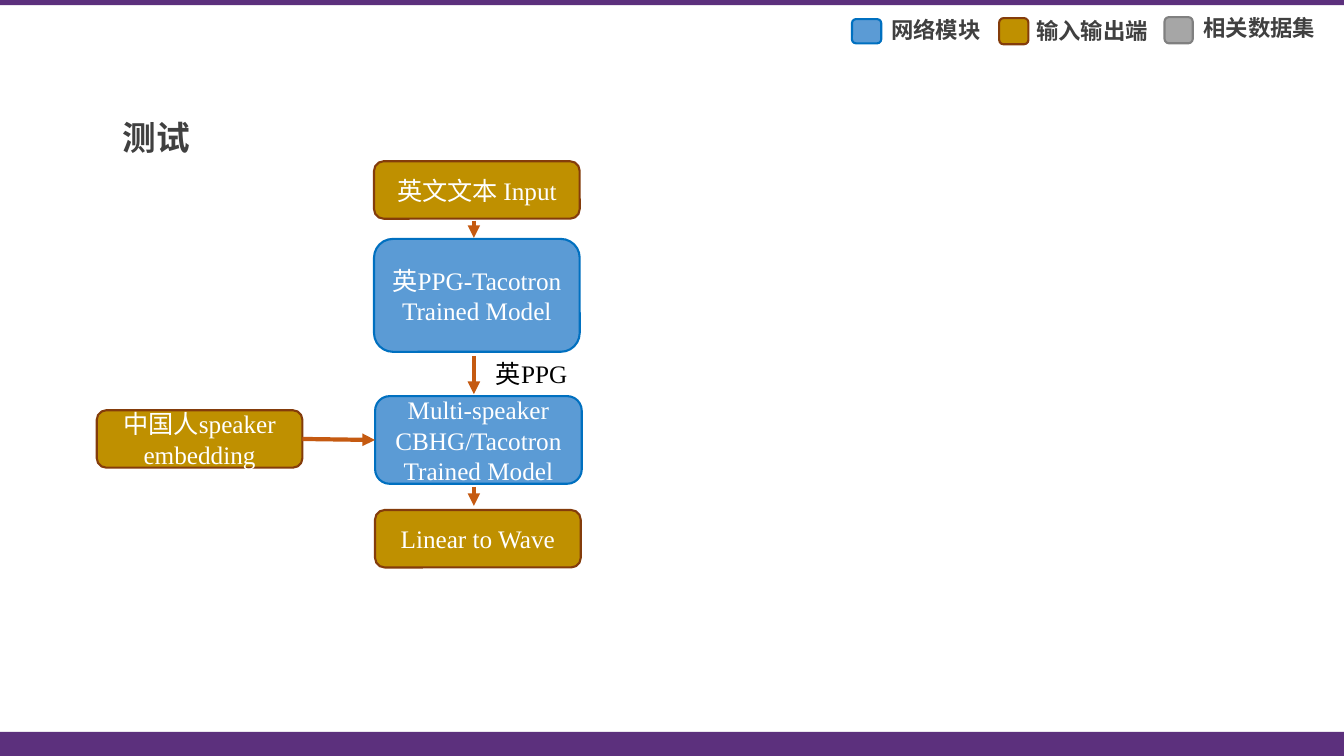
from dataclasses import dataclass

import pptx
import pptx.dml.color
import pptx.enum.shapes
import pptx.enum.text
import pptx.oxml
import pptx.oxml.ns
import pptx.util
from pptx.util import Inches

COLORS = {
    "band": "5C307D",
    "module": "5B9BD5",
    "module_edge": "0070C0",
    "port": "BF9000",
    "port_edge": "843C0B",
    "dataset": "A6A6A6",
    "dataset_edge": "808080",
    "arrow": "C55A11",
    "heading": "404040",
    "white": "FFFFFF",
    "black": "000000",
}
SERIF = "Times New Roman"
SANS = "Calibri"
SLIDE_WIDTH = 13.33
SLIDE_HEIGHT = 7.5
ARROW_X = 4.7


@dataclass(frozen=True)
class Area:
    left: float
    top: float
    width: float
    height: float

    def lengths(self) -> tuple:
        return tuple(Inches(v) for v in (self.left, self.top, self.width, self.height))


@dataclass(frozen=True)
class Block:
    area: Area
    kind: str
    text: str = ""


@dataclass(frozen=True)
class Label:
    area: Area
    text: str
    size: int
    font: str = SANS
    color: str = "heading"
    bold: bool = True
    spacing: float = 1.0


BANDS = [
    Area(0, 0, SLIDE_WIDTH, 0.05),
    Area(0, 7.26, SLIDE_WIDTH, 0.24),
]
SPEAKER = Block(Area(0.96, 4.07, 2.04, 0.57), "port", "中国人speaker embedding")
SYNTHESIS = Block(
    Area(3.72, 3.93, 2.05, 0.87), "module", "Multi-speaker CBHG/Tacotron Trained Model"
)
BLOCKS = [
    Block(Area(3.71, 1.6, 2.04, 0.57), "port", "英文文本 Input"),
    Block(Area(3.71, 2.37, 2.04, 1.12), "module", "英PPG-Tacotron Trained Model"),
    Block(Area(3.72, 5.06, 2.04, 0.57), "port", "Linear to Wave"),
    Block(Area(8.45, 0.19, 0.29, 0.24), "module"),
    Block(Area(9.91, 0.18, 0.29, 0.26), "port"),
    Block(Area(11.55, 0.17, 0.28, 0.26), "dataset"),
]
LABELS = [
    Label(Area(1.12, 1.11, 0.98, 0.5), "测试", 24),
    Label(Area(4.82, 3.51, 1.15, 0.4), "英PPG", 18, SERIF, "black", False),
    Label(Area(8.74, 0.08, 1.23, 0.45), "网络模块", 16, spacing=1.1),
    Label(Area(10.18, 0.09, 1.36, 0.43), "输入输出端", 16, spacing=1.1),
    Label(Area(11.84, 0.06, 1.36, 0.45), "相关数据集", 16, spacing=1.1),
]
DOWN_ARROWS = [(2.19, 2.36), (3.53, 3.91), (4.83, 5.02)]


def rgb(name: str) -> pptx.dml.color.RGBColor:
    return pptx.dml.color.RGBColor.from_string(COLORS[name])


def add_span(para, text: str, size: int, font: str, color: str, bold: bool = False) -> None:
    span = para.add_run()
    span.text = text
    span.font.size = pptx.util.Pt(size)
    span.font.name = font
    span.font.bold = bold
    span.font.color.rgb = rgb(color)


def draw_band(page, area: Area) -> None:
    band = page.shapes.add_shape(
        pptx.enum.shapes.MSO_SHAPE.RECTANGLE, *area.lengths()
    )
    band.shadow.inherit = False
    band.fill.solid()
    band.fill.fore_color.rgb = rgb("band")
    band.line.fill.background()


def draw_block(page, block: Block):
    box = page.shapes.add_shape(
        pptx.enum.shapes.MSO_SHAPE.ROUNDED_RECTANGLE, *block.area.lengths()
    )
    box.shadow.inherit = False
    box.fill.solid()
    box.fill.fore_color.rgb = rgb(block.kind)
    box.line.color.rgb = rgb(f"{block.kind}_edge")
    box.line.width = pptx.util.Pt(1.5)
    if block.text:
        frame = box.text_frame
        frame.word_wrap = True
        frame.vertical_anchor = pptx.enum.text.MSO_ANCHOR.MIDDLE
        para = frame.paragraphs[0]
        para.alignment = pptx.enum.text.PP_ALIGN.CENTER
        add_span(para, block.text, 18, SERIF, "white")
    return box


def draw_label(page, label: Label) -> None:
    box = page.shapes.add_textbox(*label.area.lengths())
    frame = box.text_frame
    frame.word_wrap = True
    frame.auto_size = pptx.enum.text.MSO_AUTO_SIZE.SHAPE_TO_FIT_TEXT
    para = frame.paragraphs[0]
    para.line_spacing = label.spacing
    add_span(para, label.text, label.size, label.font, label.color, label.bold)


def draw_arrow(page, start: tuple[float, float], end: tuple[float, float]):
    arrow = page.shapes.add_connector(
        pptx.enum.shapes.MSO_CONNECTOR.STRAIGHT,
        *(Inches(v) for v in (*start, *end)),
    )
    arrow.line.color.rgb = rgb("arrow")
    arrow.line.width = pptx.util.Pt(3)
    properties = arrow.element.spPr
    head = pptx.oxml.parse_xml(
        f'<a:tailEnd {pptx.oxml.ns.nsdecls("a")} type="triangle"/>'
    )
    properties.find(pptx.oxml.ns.qn("a:ln")).append(head)
    properties.append(
        pptx.oxml.parse_xml(f'<a:effectLst {pptx.oxml.ns.nsdecls("a")}/>')
    )
    return arrow


def main() -> None:
    deck = pptx.Presentation()
    deck.slide_width = Inches(SLIDE_WIDTH)
    deck.slide_height = Inches(SLIDE_HEIGHT)
    page = deck.slides.add_slide(deck.slide_layouts[6])

    for band in BANDS:
        draw_band(page, band)
    speaker_box = draw_block(page, SPEAKER)
    synthesis_box = draw_block(page, SYNTHESIS)
    for block in BLOCKS:
        draw_block(page, block)
    for top, bottom in DOWN_ARROWS:
        draw_arrow(page, (ARROW_X, top), (ARROW_X, bottom))
    speaker_arrow = draw_arrow(page, (3, 4.35), (3.72, 4.37))
    speaker_arrow.begin_connect(speaker_box, 3)
    speaker_arrow.end_connect(synthesis_box, 1)
    for label in LABELS:
        draw_label(page, label)

    deck.save("out.pptx")


if __name__ == "__main__":
    main()
